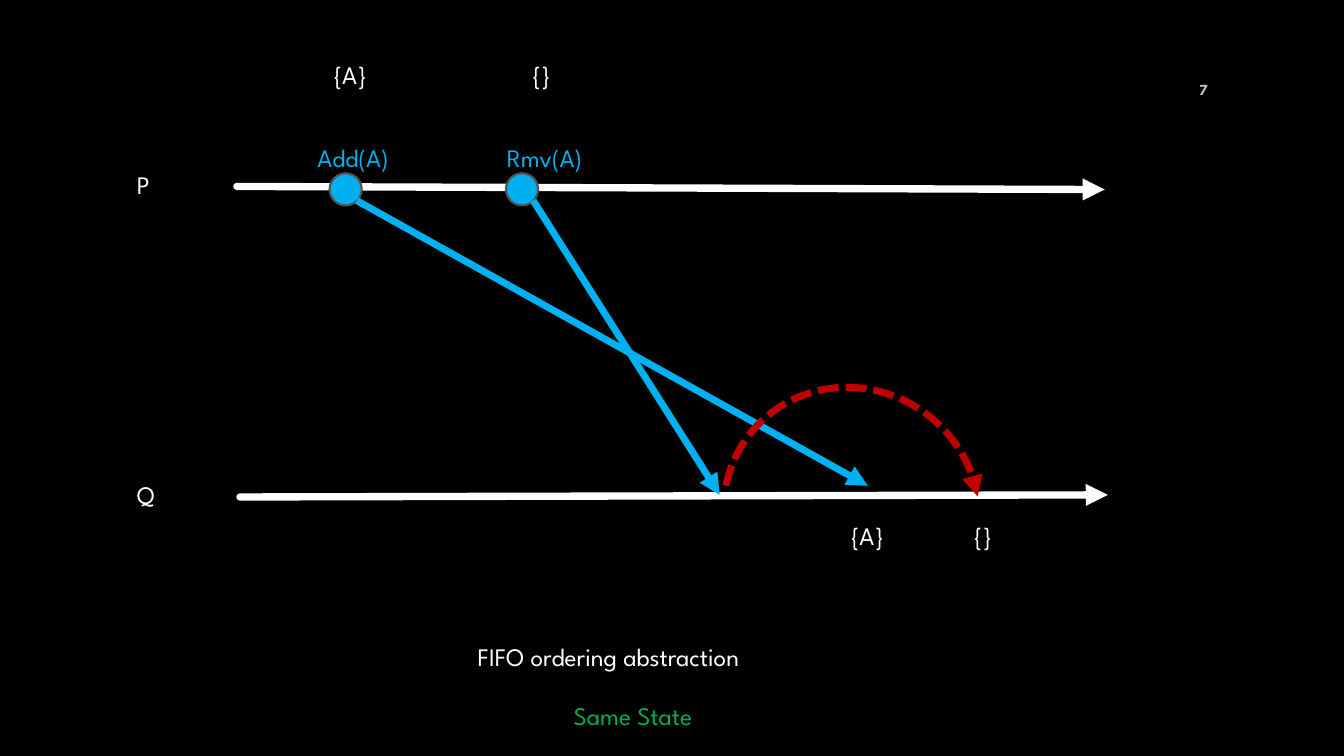
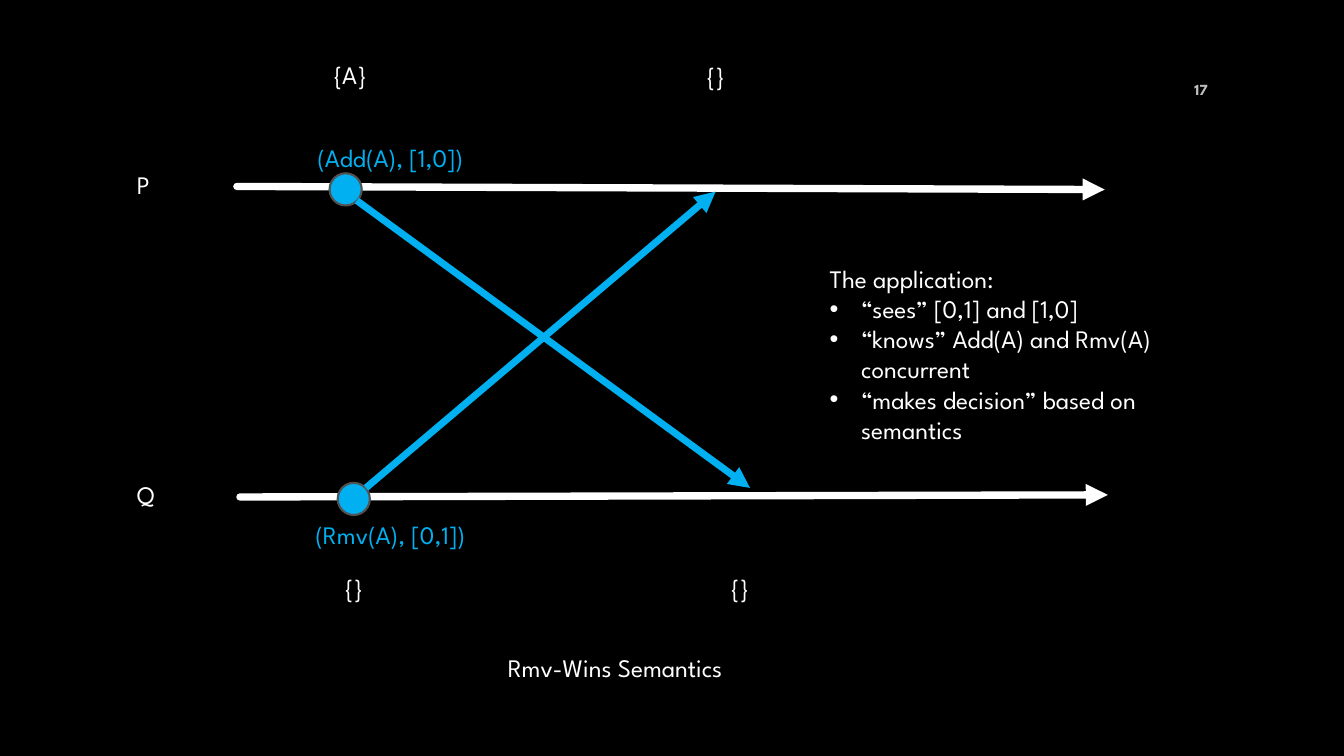
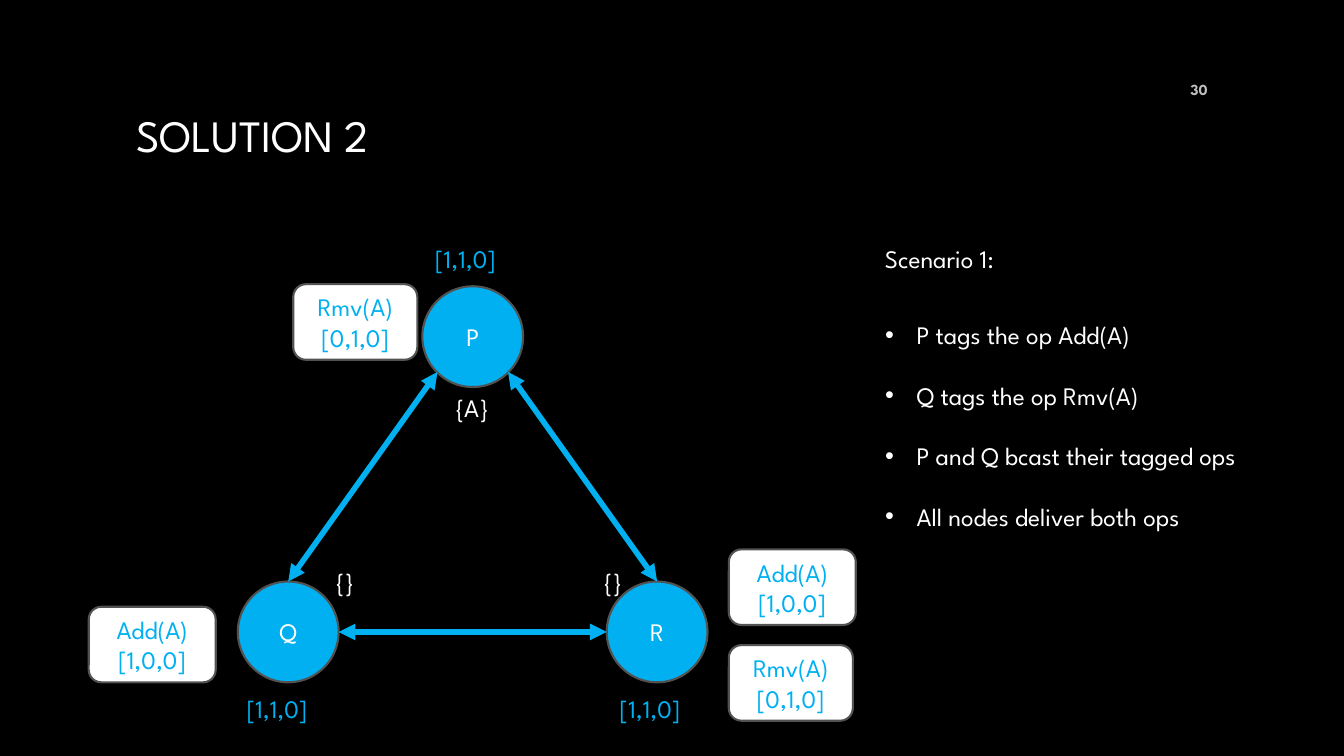
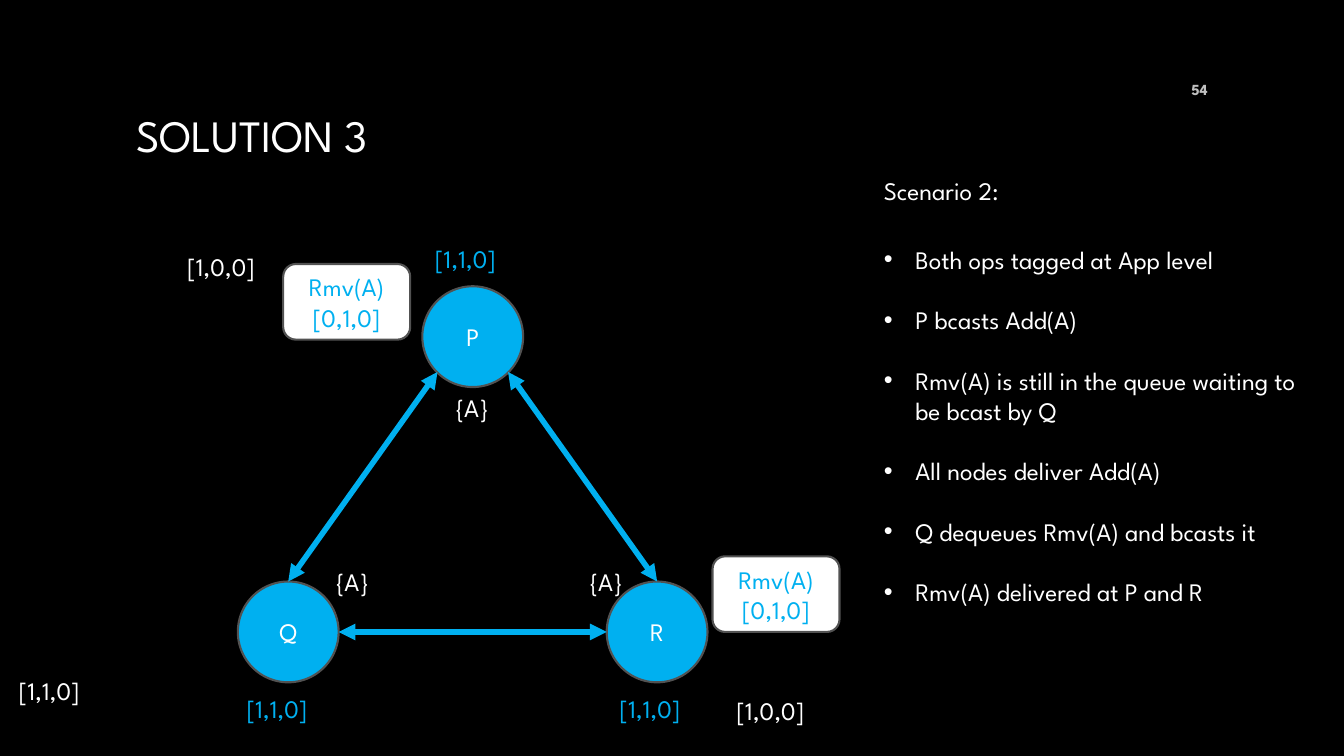
from lxml import etree
from pptx import Presentation
from pptx import util as u
from pptx.dml import color
from pptx.enum import dml, shapes, text
from pptx.oxml import ns

FONT = "League Spartan"
BLACK, WHITE, BLUE, GREY = "000000", "FFFFFF", "00B0F0", "525252"
GREEN, RED, SILVER = "00B050", "C00000", "BFBFBF"
LEFT, CENTER, RIGHT = text.PP_ALIGN.LEFT, text.PP_ALIGN.CENTER, text.PP_ALIGN.RIGHT
LABEL_H, EVENT_D, NODE_D, CARD_H = 28.8, 23, 72, 54
INDENT = 22.5
rgb = color.RGBColor.from_string


def write(frame, lines, ink, size=18, align=LEFT, bold=False):
    """Write one paragraph per line into a text frame."""
    for i, line in enumerate(lines):
        para = frame.add_paragraph() if i else frame.paragraphs[0]
        para.alignment = align
        run = para.add_run()
        run.text = line
        run.font.name, run.font.size, run.font.bold = FONT, u.Pt(size), bold
        run.font.color.rgb = rgb(ink)


def arrow(stroke, ink, width, ends=("tailEnd",), dash=None, cap="flat"):
    """Style a connector or arc as a line with triangular heads."""
    stroke.line.color.rgb = rgb(ink)
    stroke.line.width = u.Pt(width)
    if dash:
        stroke.line.dash_style = dash
    props = stroke.element.spPr
    ln = props.find(ns.qn("a:ln"))
    ln.set("cap", cap)
    for end in ends:
        etree.SubElement(ln, ns.qn("a:" + end), type="triangle")
    etree.SubElement(props, ns.qn("a:effectLst"))


# Parts shared by the timeline slides and by the triangle slides
# Labels: text, left, top, width, colour
timeline_labels = [("P", 90.7, 117.4, 25.2, WHITE), ("Q", 90.7, 339.1, 30.2, WHITE),
                   ("{A}", 231.1, 38.9, 41, WHITE)]
timelines = [(171.4, 355, 791.3, 353.5), (169.2, 133.2, 789.1, 135.4)]
triangle_labels = [("[1,1,0]", 303.8, 170.6, 67.7, BLUE),
                   ("[1,1,0]", 169.2, 491.8, 67.7, BLUE),
                   ("[1,1,0]", 435.6, 491.8, 67.7, BLUE),
                   ("{A}", 318.2, 276.5, 41, WHITE)]
nodes = {"Q": (169.9, 415.4), "R": (433.4, 415.4), "P": (301.7, 204.5)}
# Links: start, end, node whose top the link reaches
links = [(362.9, 265.7, 469.4, 415.4, "R"), (241.9, 451.4, 433.4, 451.4, None),
         (312.5, 265.7, 205.9, 415.4, "Q")]

# Content of each slide
pages = [
    dict(number="7",
         events=[(235.4, 123.8), (361.4, 123.8)],
         messages=[(254.9, 143.3, 619.9, 347), (380.9, 143.3, 514.1, 353.5)],
         delay=(518.4, 275, 180, 186.5),
         labels=timeline_labels + [
             ("Add(A)", 219.6, 97.9, 79.9, BLUE), ("Rmv(A)", 355, 97.9, 79.2, BLUE),
             ("{}", 373, 38.9, 27.4, WHITE), ("{}", 688.3, 367.9, 27.4, WHITE),
             ("{A}", 600.5, 367.9, 41, WHITE),
             ("FIFO ordering abstraction", 334.1, 454.3, 236.9, WHITE)],
         verdict="Same State"),
    dict(number="17",
         events=[(235.4, 123.8), (241.2, 344.9)],
         messages=[(254.9, 143.3, 535.7, 348.5), (261.4, 348.5, 511.2, 136.8)],
         labels=timeline_labels + [
             ("{}", 497.5, 39.6, 27.4, WHITE), ("{}", 239, 405.4, 27.4, WHITE),
             ("{}", 514.8, 405.4, 27.4, WHITE),
             ("Rmv-Wins Semantics", 355.7, 462.2, 193, WHITE),
             ("(Add(A), [1,0])", 219.6, 97.9, 141.8, BLUE),
             ("(Rmv(A), [0,1])", 218.2, 367.2, 141.1, BLUE)],
         heading="The application:",
         bullets=["“sees” [0,1] and [1,0]", "“knows” Add(A) and Rmv(A) concurrent",
                  "“makes decision” based on semantics"],
         bullets_at=(585.4, 184.3, 303.1, 138.2), gap=0),
    dict(number="30", title="SOLUTION 2",
         cards=[("Add(A)", "[1,0,0]", 63.4, 433.4, 90.7),
                ("Rmv(A)", "[0,1,0]", 209.5, 203, 88.6),
                ("Rmv(A)", "[0,1,0]", 520.6, 460.8, 88.6),
                ("Add(A)", "[1,0,0]", 520.6, 392.4, 90.7)],
         labels=triangle_labels + [
             ("Scenario 1:", 625, 170.6, 111.6, WHITE),
             ("{}", 232.6, 401, 27.4, WHITE), ("{}", 424.1, 401, 27.4, WHITE)],
         bullets=["P tags the op Add(A)", "Q tags the op Rmv(A)",
                  "P and Q bcast their tagged ops", "All nodes deliver both ops"],
         bullets_at=(625, 224.6, 316.8, 159.8), gap=21.6),
    dict(number="54", title="SOLUTION 3",
         cards=[("Rmv(A)", "[0,1,0]", 202.3, 188.6, 90.7),
                ("Rmv(A)", "[0,1,0]", 509, 397.4, 90.7)],
         labels=triangle_labels + [
             ("Scenario 2:", 624.2, 121.7, 111.6, WHITE),
             ("{A}", 232.6, 401, 41, WHITE), ("{A}", 414, 401, 41, WHITE),
             ("[1,0,0]", 126.7, 175.7, 67.7, WHITE),
             ("[1,1,0]", 6.5, 478.8, 67.7, WHITE),
             ("[1,0,0]", 519.1, 493.2, 67.7, WHITE)],
         bullets=["Both ops tagged at App level", "P bcasts Add(A)",
                  "Rmv(A) is still in the queue waiting to be bcast by Q",
                  "All nodes deliver Add(A)", "Q dequeues Rmv(A) and bcasts it",
                  "Rmv(A) delivered at P and R"],
         bullets_at=(624.2, 170.6, 326.2, 290.9), gap=21.6),
]

# Presentation and black background
prs = Presentation()
prs.slide_width, prs.slide_height = u.Pt(960), u.Pt(540)
prs.slide_master.background.fill.solid()
prs.slide_master.background.fill.fore_color.rgb = rgb(BLACK)

for page in pages:
    slide = prs.slides.add_slide(prs.slide_layouts[1])
    title, body = slide.placeholders

    # Title
    if "title" in page:
        title.left, title.top, title.width, title.height = map(u.Pt, (90, 48, 780, 96))
        title.text_frame.vertical_anchor = text.MSO_ANCHOR.MIDDLE
        write(title.text_frame, [page["title"]], WHITE, 32)
    else:
        title.element.getparent().remove(title.element)

    # Bulleted list, with an optional heading line
    if "bullets" in page:
        body.left, body.top, body.width, body.height = map(u.Pt, page["bullets_at"])
        body.text_frame.auto_size = text.MSO_AUTO_SIZE.NONE
        heading = [page["heading"]] if "heading" in page else []
        write(body.text_frame, heading + page["bullets"], WHITE)
        for i, para in enumerate(body.text_frame.paragraphs):
            para.space_before = u.Pt(page["gap"] if i else 0)
            props = para._p.get_or_add_pPr()
            is_bullet = i >= len(heading)
            props.set("marL", str(u.Pt(INDENT) if is_bullet else 0))
            props.set("indent", str(-u.Pt(INDENT) if is_bullet else 0))
            if not is_bullet:
                etree.SubElement(props, ns.qn("a:buNone"))
    else:
        body.element.getparent().remove(body.element)

    # Timelines go under the event dots
    is_timeline = "events" in page
    for x1, y1, x2, y2 in timelines if is_timeline else []:
        timeline = slide.shapes.add_connector(
            shapes.MSO_CONNECTOR.STRAIGHT, *map(u.Pt, (x1, y1, x2, y2)))
        arrow(timeline, WHITE, 5.25, cap="rnd")

    # Event dots, process nodes and message cards
    blocks = [(shapes.MSO_SHAPE.OVAL, x, y, EVENT_D, EVENT_D, BLUE, [], WHITE)
              for x, y in page.get("events", [])]
    if not is_timeline:
        blocks += [(shapes.MSO_SHAPE.OVAL, x, y, NODE_D, NODE_D, BLUE, [name], WHITE)
                   for name, (x, y) in nodes.items()]
    blocks += [(shapes.MSO_SHAPE.ROUNDED_RECTANGLE, x, y, w, CARD_H, WHITE, [op, tag], BLUE)
               for op, tag, x, y, w in page.get("cards", [])]
    drawn_nodes = {}
    for preset, x, y, w, h, fill, lines, ink in blocks:
        block = slide.shapes.add_shape(preset, *map(u.Pt, (x, y, w, h)))
        block.shadow.inherit = False
        block.fill.solid()
        block.fill.fore_color.rgb = rgb(fill)
        block.line.color.rgb = rgb(GREY)
        block.line.width = u.Pt(1.5)
        block.text_frame.vertical_anchor = text.MSO_ANCHOR.MIDDLE
        write(block.text_frame, lines, ink, align=CENTER)
        if len(lines) == 1:
            drawn_nodes[lines[0]] = block

    # Messages between timelines
    for x1, y1, x2, y2 in page.get("messages", []):
        message = slide.shapes.add_connector(
            shapes.MSO_CONNECTOR.STRAIGHT, *map(u.Pt, (x1, y1, x2, y2)))
        arrow(message, BLUE, 5)

    # Two-way links between nodes
    for x1, y1, x2, y2, target in [] if is_timeline else links:
        link = slide.shapes.add_connector(
            shapes.MSO_CONNECTOR.STRAIGHT, *map(u.Pt, (x1, y1, x2, y2)))
        if target:
            link.end_connect(drawn_nodes[target], 0)
        arrow(link, BLUE, 4, ("headEnd", "tailEnd"))

    # Dashed arc that delays the delivery
    if "delay" in page:
        delay = slide.shapes.add_shape(shapes.MSO_SHAPE.ARC, *map(u.Pt, page["delay"]))
        delay.rotation = 314.7
        delay.adjustments[0], delay.adjustments[1] = 143.2, 22.02
        delay.fill.background()
        arrow(delay, RED, 5, dash=dml.MSO_LINE.SQUARE_DOT)

    # Labels
    for words, x, y, w, ink in page["labels"]:
        label = slide.shapes.add_textbox(*map(u.Pt, (x, y, w, LABEL_H)))
        label.text_frame.word_wrap = False
        label.text_frame.auto_size = text.MSO_AUTO_SIZE.SHAPE_TO_FIT_TEXT
        write(label.text_frame, [words], ink)

    # Centred verdict and slide number
    notices = [(page["number"], 826.6, 49.7, 43.2, SILVER, 11, RIGHT, True)]
    if "verdict" in page:
        notices.append((page["verdict"], 90.7, 496.8, 722.9, GREEN, 18, CENTER, False))
    for words, x, y, w, ink, size, align, bold in notices:
        notice = slide.shapes.add_textbox(*map(u.Pt, (x, y, w, LABEL_H)))
        notice.text_frame.word_wrap = True
        notice.text_frame.vertical_anchor = text.MSO_ANCHOR.MIDDLE
        write(notice.text_frame, [words], ink, size, align, bold)

prs.save("out.pptx")
